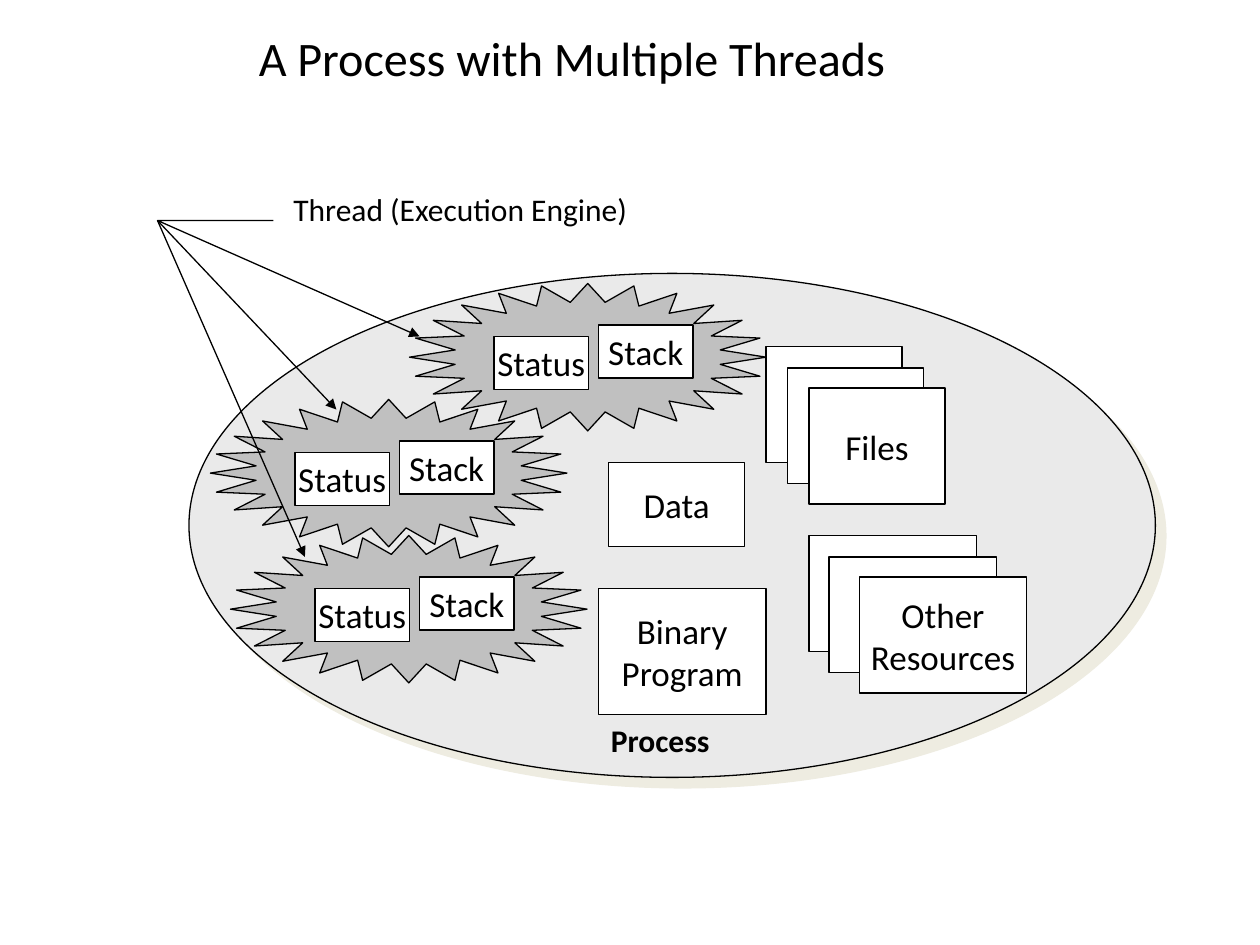
from lxml import etree
from pptx import Presentation
from pptx import util as u
from pptx.dml.color import RGBColor
from pptx.enum import shapes, text
from pptx.oxml import ns

COLORS = {"ink": "000000", "paper": "FFFFFF", "process": "EAEAEA",
          "thread": "C0C0C0", "shadow": "EEECE1"}
FONT = "Calibri"
RECT = shapes.MSO_SHAPE.RECTANGLE


def color(name):
    return RGBColor.from_string(COLORS[name])


def inches(*lengths):
    return [u.Inches(length) for length in lengths]


def write(shape, words, size=20, bold=False, align=text.PP_ALIGN.CENTER,
          anchor=text.MSO_ANCHOR.MIDDLE, wrap=False, spacing=None):
    """Fill a shape with one paragraph for each line of words."""
    frame = shape.text_frame
    frame.word_wrap = wrap
    frame.auto_size = text.MSO_AUTO_SIZE.NONE
    frame.vertical_anchor = anchor
    frame.text = words
    for para in frame.paragraphs:
        para.alignment = align
        para.line_spacing = spacing
        font = para.runs[0].font
        font.name, font.size, font.bold = FONT, u.Pt(size), bold
        font.color.rgb = color("ink")


def outline(shape):
    shape.line.color.rgb = color("ink")
    shape.line.width = u.Pt(0.75)


def add_arrowhead(shape):
    etree.SubElement(shape.line._get_or_add_ln(), ns.qn("a:tailEnd"), type="triangle")


def add_figure(parent, kind, box, fill="paper", words=None):
    shape = parent.shapes.add_shape(kind, *inches(*box))
    shape.shadow.inherit = False
    shape.fill.solid()
    shape.fill.fore_color.rgb = color(fill)
    outline(shape)
    if words:
        write(shape, words)
    return shape


def add_label(page, box, words, **style):
    label = page.shapes.add_textbox(*inches(*box))
    write(label, words, size=18, align=text.PP_ALIGN.LEFT,
          anchor=text.MSO_ANCHOR.TOP, wrap=True, **style)


def add_title(page, box, words):
    title = page.shapes.title
    title.left, title.top, title.width, title.height = inches(*box)
    write(title, words, size=27.5, wrap=True, spacing=0.8)


def add_process(page, box):
    """Draw the process ellipse with its offset shadow and its name."""
    left, top, width, height = box
    ellipse = add_figure(page, shapes.MSO_SHAPE.OVAL, box, "process")
    effects = ellipse._element.spPr.find(ns.qn("a:effectLst"))
    shadow = etree.SubElement(effects, ns.qn("a:outerShdw"), dist=str(u.Pt(8.5)),
                              dir="2700000", algn="ctr", rotWithShape="0")
    etree.SubElement(shadow, ns.qn("a:srgbClr"), val=COLORS["shadow"])
    add_label(page, (left + 3.25, top + height - 0.5, 1.27, 0.5), "Process", bold=True)


def add_stack(page, box, words, offsets):
    """Draw a pile of equal sheets; only the front one carries words."""
    left, top, width, height = box
    pile = page.shapes.add_group_shape()
    for dx, dy in offsets:
        front = add_figure(pile, RECT, (left + dx, top + dy, width, height))
    write(front, words)


def add_thread(page, left, top):
    thread = page.shapes.add_group_shape()
    star = add_figure(thread, shapes.MSO_SHAPE.STAR_24_POINT,
                      (left, top, 2.83, 1.17), "thread")
    star.adjustments[0] = 0.375
    for words, dx, dy in (("Stack", 1.5, 0.33), ("Status", 0.67, 0.42)):
        add_figure(thread, RECT, (left + dx, top + dy, 0.75, 0.42), words=words)


def add_pointers(page, origin, label_end, bent_target, targets):
    """Draw arrows from one origin; the first also runs back to the label."""
    builder = page.shapes.build_freeform(*inches(*label_end))
    builder.add_line_segments([inches(*origin), inches(*bent_target)], close=False)
    bent = builder.convert_to_shape()
    bent.fill.background()
    bent.shadow.inherit = False
    outline(bent)
    add_arrowhead(bent)
    for target in targets:
        arrow = page.shapes.add_connector(
            shapes.MSO_CONNECTOR.STRAIGHT, *inches(*origin, *target))
        outline(arrow)
        add_arrowhead(arrow)
        etree.SubElement(arrow._element.spPr, ns.qn("a:effectLst"))


def main():
    deck = Presentation()
    deck.slide_width, deck.slide_height = inches(10, 7.5)
    page = deck.slides.add_slide(deck.slide_layouts[5])

    add_title(page, (0.33, 0.25, 8.42, 0.5), "A Process with Multiple Threads")
    add_process(page, (1.5, 2.17, 7.67, 4))
    add_figure(page, RECT, (4.83, 3.67, 1.08, 0.67), words="Data")
    add_stack(page, (6.08, 2.75, 1.08, 0.92), "Files",
              [(0, 0), (0.17, 0.17), (0.34, 0.33)])
    add_stack(page, (6.42, 4.25, 1.33, 0.92), "Other\nResources",
              [(0, 0), (0.16, 0.17), (0.4, 0.33)])
    add_figure(page, RECT, (4.75, 4.67, 1.33, 1), words="Binary\nProgram")
    for left, top in ((1.83, 4.25), (1.67, 3.17), (3.25, 2.25)):
        add_thread(page, left, top)
    add_label(page, (2.23, 1.46, 3.82, 0.5), "Thread (Execution Engine)")
    add_pointers(page, (1.25, 1.75), (2.17, 1.75), (3.33, 2.67),
                 [(2.67, 3.25), (2.42, 4.42)])

    deck.save("out.pptx")


if __name__ == "__main__":
    main()
